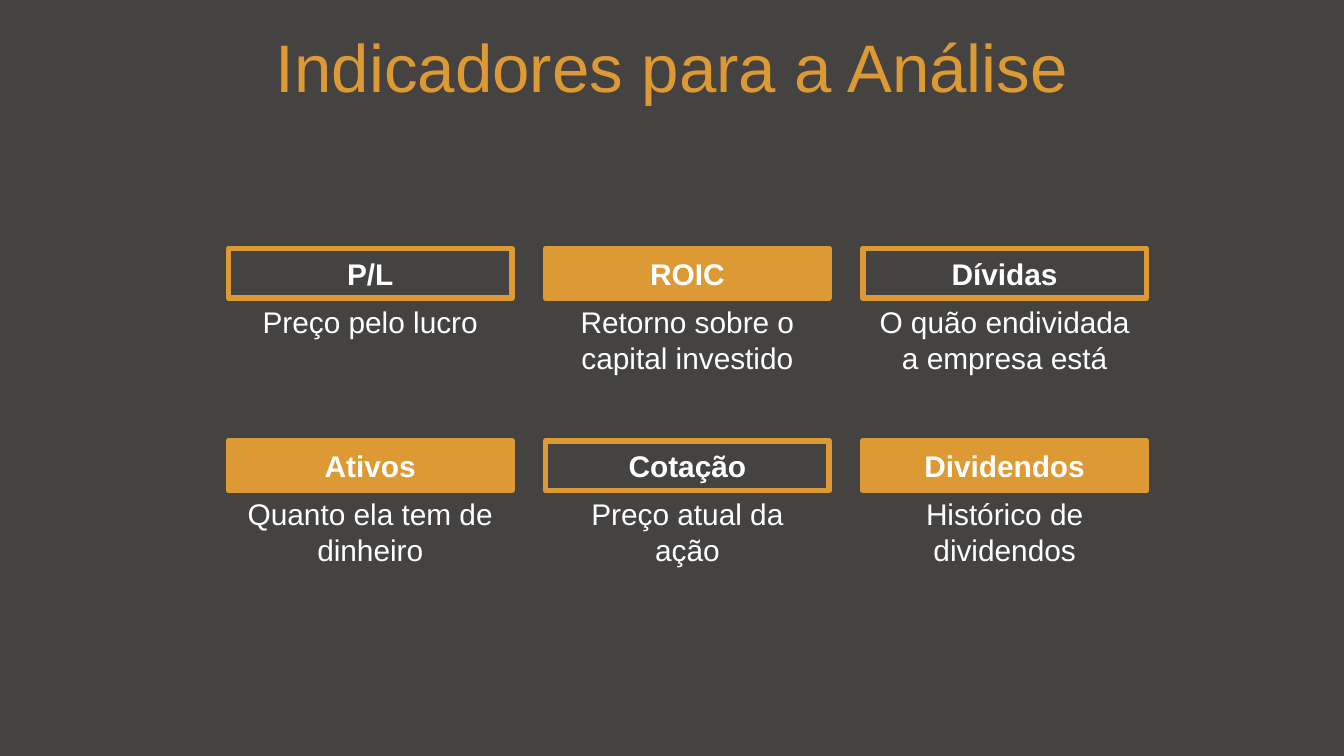
from pptx import Presentation
from pptx.dml.color import RGBColor
from pptx.enum import shapes, text
from pptx.util import Inches, Pt

COLORS = {"background": "444342", "accent": "DD9933", "body": "FFFFFF"}


def write(holder, wording, size=16, color="body", bold=False,
          anchor=text.MSO_ANCHOR.TOP, fit=text.MSO_AUTO_SIZE.SHAPE_TO_FIT_TEXT):
    frame = holder.text_frame
    frame.word_wrap = True
    frame.auto_size = fit
    frame.vertical_anchor = anchor
    paragraph = frame.paragraphs[0]
    paragraph.alignment = text.PP_ALIGN.CENTER
    run = paragraph.add_run()
    run.text = wording
    run.font.name = "Arial"
    run.font.size = Pt(size)
    run.font.bold = bold
    run.font.color.rgb = RGBColor.from_string(COLORS[color])


prs = Presentation()
prs.slide_width = Inches(10)
prs.slide_height = prs.slide_width * 9 // 16
slide = prs.slides.add_slide(prs.slide_layouts[6])
slide.background.fill.solid()
slide.background.fill.fore_color.rgb = RGBColor.from_string(COLORS["background"])

title = slide.shapes.add_textbox(Inches(0), Inches(0.17), Inches(10), Inches(0.63))
write(title, "Indicadores para a Análise", size=36, color="accent",
      anchor=text.MSO_ANCHOR.MIDDLE, fit=text.MSO_AUTO_SIZE.NONE)

indicators = [
    ("P/L", "Preço pelo lucro", 0.37),
    ("ROIC", "Retorno sobre o capital investido", 0.64),
    ("Dívidas", "O quão endividada a empresa está", 0.64),
    ("Ativos", "Quanto ela tem de dinheiro", 0.64),
    ("Cotação", "Preço atual da ação", 0.64),
    ("Dividendos", "Histórico de dividendos", 0.64),
]
columns, width, label_height = 3, 2.11, 0.37
accent = RGBColor.from_string(COLORS["accent"])

for index, (name, meaning, height) in enumerate(indicators):
    row, column = divmod(index, columns)
    left = Inches(1.7 + 2.36 * column)
    top = 1.85 + 1.43 * row
    card = slide.shapes.add_group_shape()

    description = card.shapes.add_textbox(
        left, Inches(top + 0.36), Inches(width), Inches(height))
    write(description, meaning)

    label = card.shapes.add_shape(
        shapes.MSO_SHAPE.RECTANGLE, left, Inches(top), Inches(width), Inches(label_height))
    label.shadow.inherit = False
    label.line.color.rgb = accent
    label.line.width = Pt(3)
    if index % 2:
        label.fill.solid()
        label.fill.fore_color.rgb = accent
    else:
        label.fill.background()
    write(label, name, bold=True)

prs.save("out.pptx")
